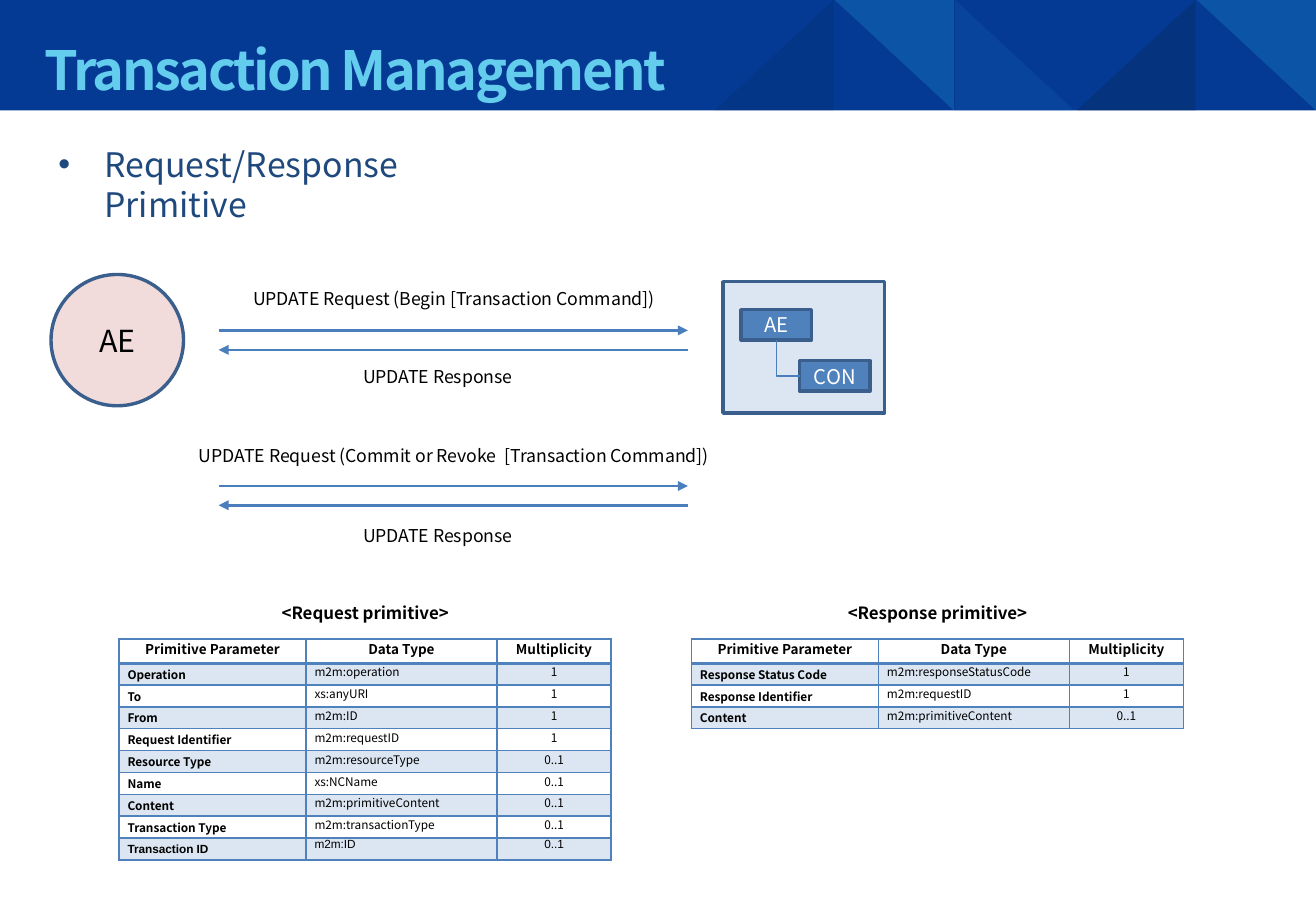
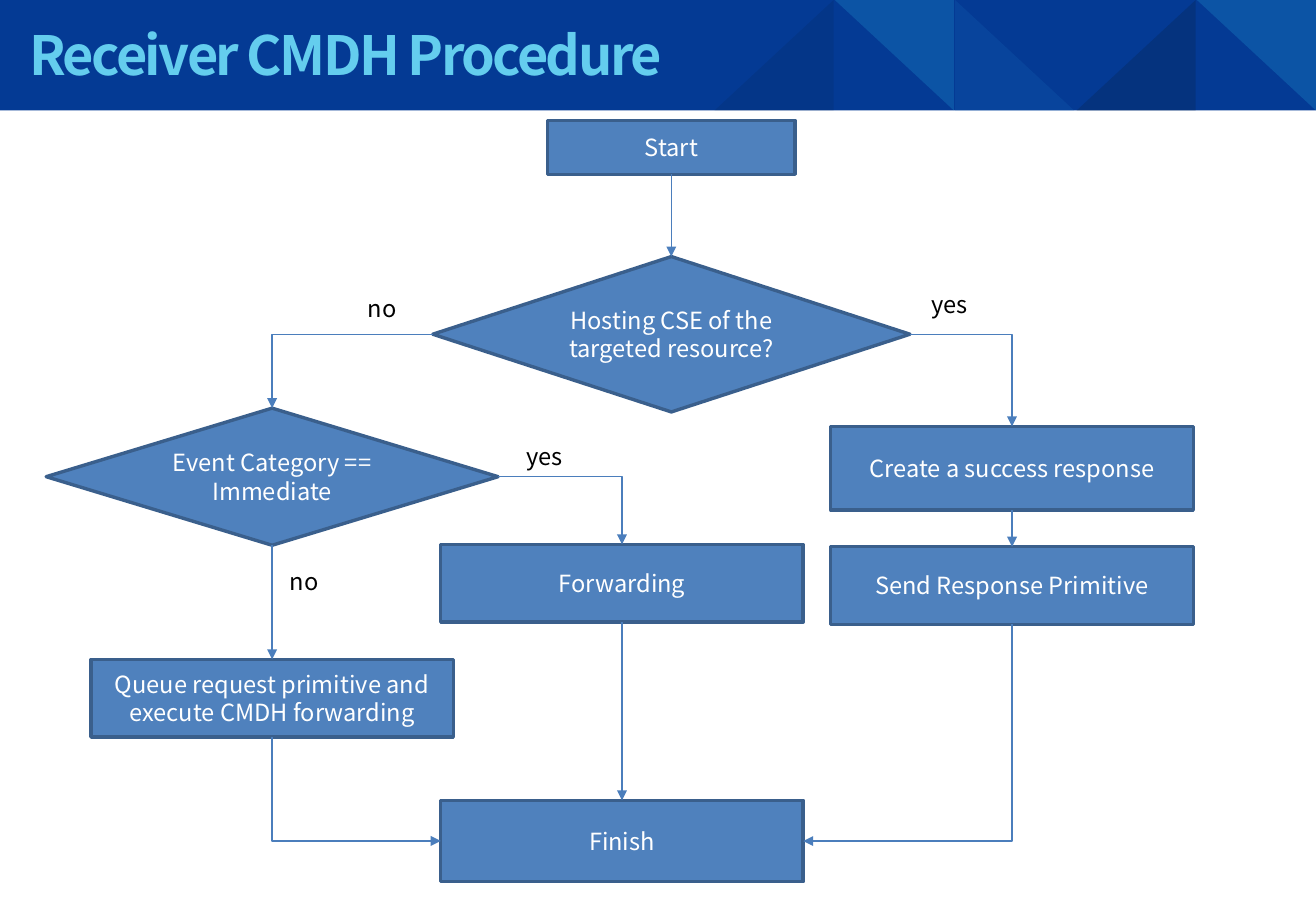
from dataclasses import dataclass

from pptx import Presentation
from pptx.dml.color import RGBColor
from pptx.enum.shapes import MSO_CONNECTOR as Connector, MSO_SHAPE as Preset
from pptx.enum.text import MSO_ANCHOR as Anchor, MSO_AUTO_SIZE as AutoSize, PP_ALIGN as Align
from pptx.oxml.ns import qn
from pptx.util import Inches, Pt
from lxml.etree import SubElement

COLORS = {
    "band": "043A94", "sky": "2EBDE9", "night": "0A1828", "sea": "1B70BD",
    "title": "64CDEE", "list": "1F497D", "text": "000000", "white": "FFFFFF",
    "blue": "4F81BD", "outline": "3A5F8C", "arrow": "4B7EBC",
    "pale": "DCE6F2", "pink": "F2DCDB",
}
FONT = "Noto Sans CJK KR"
WIDTH, HEIGHT, BAND_HEIGHT = 10.83, 7.5, 0.91
TOP, LEFT, BOTTOM, RIGHT = range(4)


@dataclass
class Box:
    """A box in inches; areas inside it are given in percent of its size."""
    left: float
    top: float
    width: float
    height: float

    def x(self, share):
        return self.left + self.width * share / 100

    def y(self, share):
        return self.top + self.height * share / 100

    def area(self, left, top, width, height):
        return Box(self.x(left), self.y(top),
                   self.width * width / 100, self.height * height / 100)

    def lengths(self):
        return [Inches(v) for v in (self.left, self.top, self.width, self.height)]


def color(name):
    return RGBColor.from_string(COLORS[name])


def write(frame, text, size=14, ink="text", bold=False, align=Align.LEFT,
          anchor=Anchor.TOP, font=FONT, tracking=None):
    frame.word_wrap = True
    frame.auto_size = AutoSize.NONE
    frame.vertical_anchor = anchor
    paragraph = frame.paragraphs[0]
    paragraph.alignment = align
    paragraph.space_before = Pt(0)
    run = paragraph.add_run()
    run.text = text
    run.font.name, run.font.size, run.font.bold = font, Pt(size), bold
    run.font.color.rgb = color(ink)
    if tracking is not None:
        run.font._element.set("spc", str(int(tracking * 100)))
    return paragraph


def add_label(slide, box, text, **text_format):
    write(slide.shapes.add_textbox(*box.lengths()).text_frame, text, **text_format)


def add_block(slide, preset, box, fill, outline=None, text=None, **text_format):
    shape = slide.shapes.add_shape(preset, *box.lengths())
    shape.shadow.inherit = False
    shape.fill.solid()
    shape.fill.fore_color.rgb = color(fill)
    if outline:
        shape.line.color.rgb = color(outline)
        shape.line.width = Pt(2)
    else:
        shape.line.fill.background()
    if text:
        write(shape.text_frame, text, align=Align.CENTER, anchor=Anchor.MIDDLE,
              **text_format)
    return shape


def style_connector(connector, width, arrow=None):
    connector.line.color.rgb = color("arrow")
    connector.line.width = Pt(width)
    properties = connector._element.spPr
    if arrow:
        line = properties.find(qn("a:ln"))
        SubElement(line, qn(f"a:{arrow}")).set("type", "triangle")
    SubElement(properties, qn("a:effectLst"))


def link(slide, source, source_side, target, target_side, arrow=True):
    """Join two shapes; a bent link is drawn from its horizontal end."""
    vertical = (TOP, BOTTOM)
    bent = (source_side in vertical) != (target_side in vertical)
    ends = [(source, source_side), (target, target_side)]
    arrow_end = "tailEnd"
    if bent and source_side in vertical:
        ends.reverse()
        arrow_end = "headEnd"
    kind = Connector.ELBOW if bent else Connector.STRAIGHT
    connector = slide.shapes.add_connector(kind, 0, 0, 0, 0)
    connector.begin_connect(*ends[0])
    connector.end_connect(*ends[1])
    if bent:
        connector._element.spPr.find(qn("a:prstGeom")).set("prst", "bentConnector2")
    style_connector(connector, 0.75, arrow_end if arrow else None)


# Shared band and title
def add_band(slide, master):
    """Draw the header band and move it to the slide master."""
    band = Box(0, 0, WIDTH, BAND_HEIGHT)
    pieces = [add_block(slide, Preset.RECTANGLE, band, "band")]
    # left, fill, opacity in percent, apex, rotation
    triangles = [
        (9.85, "sky", 20, 0, 180), (8.86, "night", 20, 1, 0),
        (7.86, "sea", 20, 0, 0), (6.87, "sky", 20, 0, 180),
        (5.88, "night", 10, 0, 270),
    ]
    side = 0.98
    for left, fill, opacity, apex, rotation in triangles:
        box = Box(left, 0, side, BAND_HEIGHT)
        if rotation == 270:
            shift = (side - BAND_HEIGHT) / 2
            box = Box(left + shift, -shift, BAND_HEIGHT, side)
        triangle = add_block(slide, Preset.ISOSCELES_TRIANGLE, box, fill)
        triangle.adjustments[0] = apex
        triangle.rotation = rotation
        tint = triangle._element.spPr.find(qn("a:solidFill"))[0]
        SubElement(tint, qn("a:alpha")).set("val", str(opacity * 1000))
        pieces.append(triangle)
    tree = master.shapes._spTree
    for index, shape in enumerate(pieces):
        shape._element.nvSpPr.cNvPr.set("id", str(100 + index))
        tree.insert(2 + index, shape._element)


def place(shape, box):
    shape.left, shape.top, shape.width, shape.height = box.lengths()


def set_title(slide, text, left, top):
    title = slide.shapes.title
    place(title, Box(left, top, 9.48, 0.64))
    write(title.text_frame, text, size=32, ink="title", bold=True, tracking=-1.5)


# Transaction slide
def set_list(slide, box, text):
    body = slide.placeholders[1]
    place(body, box)
    properties = write(body.text_frame, text, size=20, ink="list")._p.get_or_add_pPr()
    properties.set("marL", str(Inches(0.38)))
    properties.set("indent", str(Inches(-0.38)))


def add_exchange(slide, box):
    add_block(slide, Preset.OVAL, box.area(0, 0, 15.9, 47), "pink", "outline",
              "AE", size=18)
    # Text, label left and width, label top, arrow height, arrow direction
    request, response = (15.6, 65.5), (19.7, 53.4)
    forward, back = (20.1, 76.4), (76.4, 20.1)
    messages = [
        ("UPDATE Request (Begin [Transaction Command])", request, 2.6, 20, forward),
        ("UPDATE Response", response, 30.4, 27, back),
        ("UPDATE Request (Commit or Revoke  [Transaction Command])",
         request, 58.7, 75.7, forward),
        ("UPDATE Response", response, 87.4, 82.6, back),
    ]
    for text, (left, width), label_top, arrow_y, (start, end) in messages:
        add_label(slide, box.area(left, label_top, width, 12.6), text,
                  size=10.5, align=Align.CENTER)
        y = Inches(box.y(arrow_y))
        arrow = slide.shapes.add_connector(
            Connector.STRAIGHT, Inches(box.x(start)), y, Inches(box.x(end)), y)
        style_connector(arrow, 1.5, "tailEnd")

    # Resource tree
    server = box.area(80.6, 2.6, 19.4, 47)
    add_block(slide, Preset.RECTANGLE, server, "pale", "outline")
    parent, child = [
        add_block(slide, Preset.RECTANGLE, server.area(left, top, 43.6, 23.1),
                  "blue", "outline", name, size=12, ink="white")
        for name, left, top in [("AE", 11.3, 21.3), ("CON", 47.4, 60.2)]
    ]
    link(slide, parent, BOTTOM, child, LEFT, arrow=False)


def style_cell(cell, fill, bottom_width):
    cell.margin_left = cell.margin_right = Inches(0.07)
    cell.margin_top = cell.margin_bottom = 0
    properties = cell._tc.get_or_add_tcPr()
    for edge in ("lnL", "lnR", "lnT", "lnB"):
        width = bottom_width if edge == "lnB" else 1
        line = SubElement(properties, qn(f"a:{edge}"), w=str(Pt(width)))
        SubElement(SubElement(line, qn("a:solidFill")),
                   qn("a:srgbClr"), val=COLORS["blue"])
    cell.fill.solid()
    cell.fill.fore_color.rgb = color(fill)


def write_cell(cell, value, header, column, font):
    paragraph = cell.text_frame.paragraphs[0]
    paragraph.alignment = Align.CENTER if header or column == 2 else Align.LEFT
    cell.vertical_anchor = Anchor.MIDDLE if column == 0 and not header else Anchor.TOP
    run = paragraph.add_run()
    run.text = value
    run.font.name, run.font.size = font, Pt(8 if header else 7)
    run.font.bold = header or column == 0
    run.font.color.rgb = color("text")


def add_primitive(slide, left, top, caption, rows):
    width, header_height, row_height = 4.05, 0.2, 0.18
    add_label(slide, Box(left + 0.96, top, 2.13, 0.27), caption, size=10,
              bold=True, align=Align.CENTER)
    rows = [("Primitive Parameter", "Data Type", "Multiplicity"), *rows]
    box = Box(left, top + 0.35, width, header_height + row_height * (len(rows) - 1))
    table = slide.shapes.add_table(len(rows), 3, *box.lengths()).table
    table.horz_banding = False
    for column, share in zip(table.columns, (38, 38.8, 23.2)):
        column.width = Inches(width * share / 100)
    for r, values in enumerate(rows):
        header = r == 0
        table.rows[r].height = Inches(header_height if header else row_height)
        font = "Arial" if values[0] == "Transaction ID" else FONT
        for c, value in enumerate(values):
            cell = table.cell(r, c)
            style_cell(cell, "pale" if r % 2 else "white", 2 if header else 1)
            write_cell(cell, value, header, c, font)


def build_transaction(slide):
    set_title(slide, "Transaction Management", 0.27, 0.25)
    set_list(slide, Box(0.38, 1.13, 4.13, 0.44), "Request/Response Primitive")
    add_exchange(slide, Box(0.42, 2.26, 6.86, 2.3))
    add_primitive(slide, 0.98, 4.91, "<Request primitive>", [
        ("Operation", "m2m:operation", "1"),
        ("To", "xs:anyURI", "1"),
        ("From", "m2m:ID", "1"),
        ("Request Identifier", "m2m:requestID", "1"),
        ("Resource Type", "m2m:resourceType", "0..1"),
        ("Name", "xs:NCName", "0..1"),
        ("Content", "m2m:primitiveContent", "0..1"),
        ("Transaction Type", "m2m:transactionType", "0..1"),
        ("Transaction ID", "m2m:ID", "0..1"),
    ])
    add_primitive(slide, 5.69, 4.91, "<Response primitive>", [
        ("Response Status Code", "m2m:responseStatusCode", "1"),
        ("Response Identifier", "m2m:requestID", "1"),
        ("Content", "m2m:primitiveContent", "0..1"),
    ])


# Flowchart slide
def add_flowchart(slide, box):
    left, middle, right, entry = 19.7, 50.2, 84.2, 54.5  # column centres

    def node(text, center, top, height, width=31.6, preset=Preset.RECTANGLE):
        return add_block(slide, preset, box.area(center - width / 2, top, width, height),
                         "blue", "outline", text, ink="white")

    start = node("Start", entry, 0, 7.1, 21.6)
    hosting = node("Hosting CSE of the targeted resource?", entry, 17.9, 20.4,
                   41.6, Preset.DIAMOND)
    event = node("Event Category == Immediate", left, 37.8, 18, 39.4, Preset.DIAMOND)
    create = node("Create a success response", right, 40.2, 11)
    send = node("Send Response Primitive", right, 56, 10.2)
    forwarding = node("Forwarding", middle, 55.7, 10.2)
    queue = node("Queue request primitive and execute CMDH forwarding", left, 70.8, 10.2)
    finish = node("Finish", middle, 89.3, 10.7)

    for ends in [
        (start, BOTTOM, hosting, TOP), (hosting, RIGHT, create, TOP),
        (hosting, LEFT, event, TOP), (create, BOTTOM, send, TOP),
        (event, RIGHT, forwarding, TOP), (event, BOTTOM, queue, TOP),
        (forwarding, BOTTOM, finish, TOP), (queue, BOTTOM, finish, LEFT),
        (send, BOTTOM, finish, RIGHT),
    ]:
        link(slide, *ends)

    for answer, x, y in [("yes", 76.1, 21.5), ("no", 27, 22),
                         ("yes", 40.8, 41.5), ("no", 20.2, 57.9)]:
        add_label(slide, box.area(x, y, 5.8, 5.4), answer)


def main():
    presentation = Presentation()
    presentation.slide_width, presentation.slide_height = Inches(WIDTH), Inches(HEIGHT)
    layouts = presentation.slide_layouts
    transaction = presentation.slides.add_slide(layouts.get_by_name("Title and Content"))
    add_band(transaction, presentation.slide_master)
    build_transaction(transaction)
    procedure = presentation.slides.add_slide(layouts.get_by_name("Title Only"))
    set_title(procedure, "Receiver CMDH Procedure", 0.14, 0.13)
    add_flowchart(procedure, Box(0.38, 0.99, 9.44, 6.27))
    presentation.save("out.pptx")


if __name__ == "__main__":
    main()
